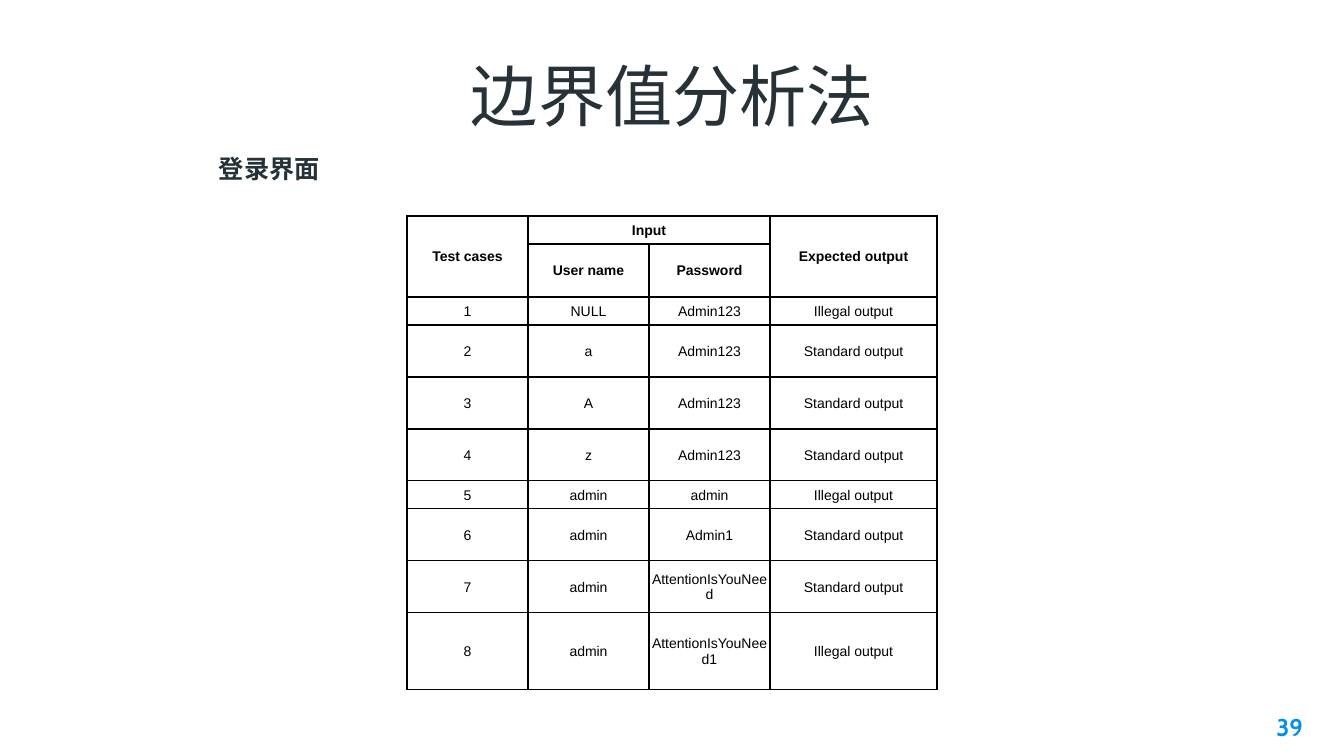
from lxml import etree
from pptx import Presentation
from pptx.dml.color import RGBColor
from pptx.enum.text import MSO_ANCHOR, MSO_AUTO_SIZE, PP_ALIGN
from pptx.oxml.ns import qn
from pptx.util import Emu, Pt

SCALE = 914400 / 100.8
LEFT, CENTER, RIGHT = PP_ALIGN.LEFT, PP_ALIGN.CENTER, PP_ALIGN.RIGHT
TOP, MIDDLE, BOTTOM = MSO_ANCHOR.TOP, MSO_ANCHOR.MIDDLE, MSO_ANCHOR.BOTTOM
FIT_SHAPE, NO_FIT = MSO_AUTO_SIZE.SHAPE_TO_FIT_TEXT, MSO_AUTO_SIZE.NONE
SLATE = RGBColor(0x26, 0x32, 0x38)
BLUE = RGBColor(0x00, 0x91, 0xEA)
BLACK = RGBColor(0, 0, 0)

TITLE = {"name": "Arial", "size": Pt(48), "bold": False}
SUBTITLE = {"name": "Arial", "size": Pt(18), "bold": True}
PAGE_NUMBER = {"name": "Cabin", "size": Pt(17.3), "bold": True}
HEADER = {"name": "Arial", "size": Pt(10), "bold": True}
BODY = HEADER | {"bold": False}

COLUMN_WIDTHS = [121, 121, 121, 167]
ROW_HEIGHTS = [28, 53, 28, 52, 52, 52, 28, 52, 52, 77]
HEADER_ROWS = 2
MERGES = [(0, 0, 1, 0), (0, 1, 0, 2), (0, 3, 1, 3)]
ROWS = [
    ["Test cases", "Input", "", "Expected output"],
    ["", "User name", "Password", ""],
    ["1", "NULL", "Admin123", "Illegal output"],
    ["2", "a", "Admin123", "Standard output"],
    ["3", "A", "Admin123", "Standard output"],
    ["4", "z", "Admin123", "Standard output"],
    ["5", "admin", "admin", "Illegal output"],
    ["6", "admin", "Admin1", "Standard output"],
    ["7", "admin", "AttentionIsYouNeed", "Standard output"],
    ["8", "admin", "AttentionIsYouNeed1", "Illegal output"],
]


def px(length):
    """Turn pixels into EMU."""
    return Emu(round(length * SCALE))


def set_all(target, values):
    """Set every attribute in values on target."""
    for name, value in values.items():
        setattr(target, name, value)


def write(para, text, look, color, align):
    """Write one formatted span into a paragraph."""
    para.alignment = align
    span = para.add_run()
    span.text = text
    set_all(span.font, look)
    span.font.color.rgb = color


def margins(side, bottom):
    """Give margin values with a bottom that may differ."""
    values = {f"margin_{edge}": px(side) for edge in ("left", "right", "top")}
    return values | {"margin_bottom": px(bottom)}


def add_text(page, area, text, look, color, align, frame_values):
    """Add a text box holding one paragraph."""
    box = page.shapes.add_textbox(*map(px, area))
    set_all(box.text_frame, {"word_wrap": True, "auto_size": NO_FIT} | frame_values)
    write(box.text_frame.paragraphs[0], text, look, color, align)


def add_borders(cell):
    """Draw a one-point black line on each side of a cell."""
    properties = cell._tc.get_or_add_tcPr()
    for tag in ("a:lnL", "a:lnR", "a:lnT", "a:lnB"):
        line = etree.SubElement(properties, qn(tag), w=str(Pt(1)))
        fill = etree.SubElement(line, qn("a:solidFill"))
        etree.SubElement(fill, qn("a:srgbClr"), val=str(BLACK))


def add_case_table(page, left, top):
    """Add the table of test cases."""
    size = px(sum(COLUMN_WIDTHS)), px(sum(ROW_HEIGHTS))
    table = page.shapes.add_table(
        len(ROWS), len(COLUMN_WIDTHS), px(left), px(top), *size
    ).table
    set_all(table, {"first_row": False, "horz_banding": False})
    for column, width in zip(table.columns, COLUMN_WIDTHS):
        column.width = px(width)
    for row, height in zip(table.rows, ROW_HEIGHTS):
        row.height = px(height)
    for row_index, texts in enumerate(ROWS):
        look = HEADER if row_index < HEADER_ROWS else BODY
        for column_index, text in enumerate(texts):
            cell = table.cell(row_index, column_index)
            set_all(cell, margins(1, 0) | {"vertical_anchor": MIDDLE})
            add_borders(cell)
            cell.fill.background()
            if text:
                write(cell.text_frame.paragraphs[0], text, look, BLACK, CENTER)
    for first_row, first_column, last_row, last_column in MERGES:
        table.cell(first_row, first_column).merge(table.cell(last_row, last_column))


def main():
    """Build the slide and save it."""
    deck = Presentation()
    set_all(deck, {"slide_width": px(1344), "slide_height": px(756)})
    page = deck.slides.add_slide(deck.slide_layouts[6])
    wide = margins(13, 13)
    add_text(page, (116, 45, 1113, 103), "边界值分析法", TITLE, SLATE, CENTER,
             wide | {"vertical_anchor": BOTTOM})
    add_text(page, (1235, 699, 81, 57), "39", PAGE_NUMBER, BLUE, RIGHT,
             wide | {"vertical_anchor": TOP})
    add_text(page, (209, 148, 257, 40), "登录界面", SUBTITLE, SLATE, LEFT,
             {"auto_size": FIT_SHAPE})
    add_case_table(page, 407, 216)
    deck.save("out.pptx")


if __name__ == "__main__":
    main()
